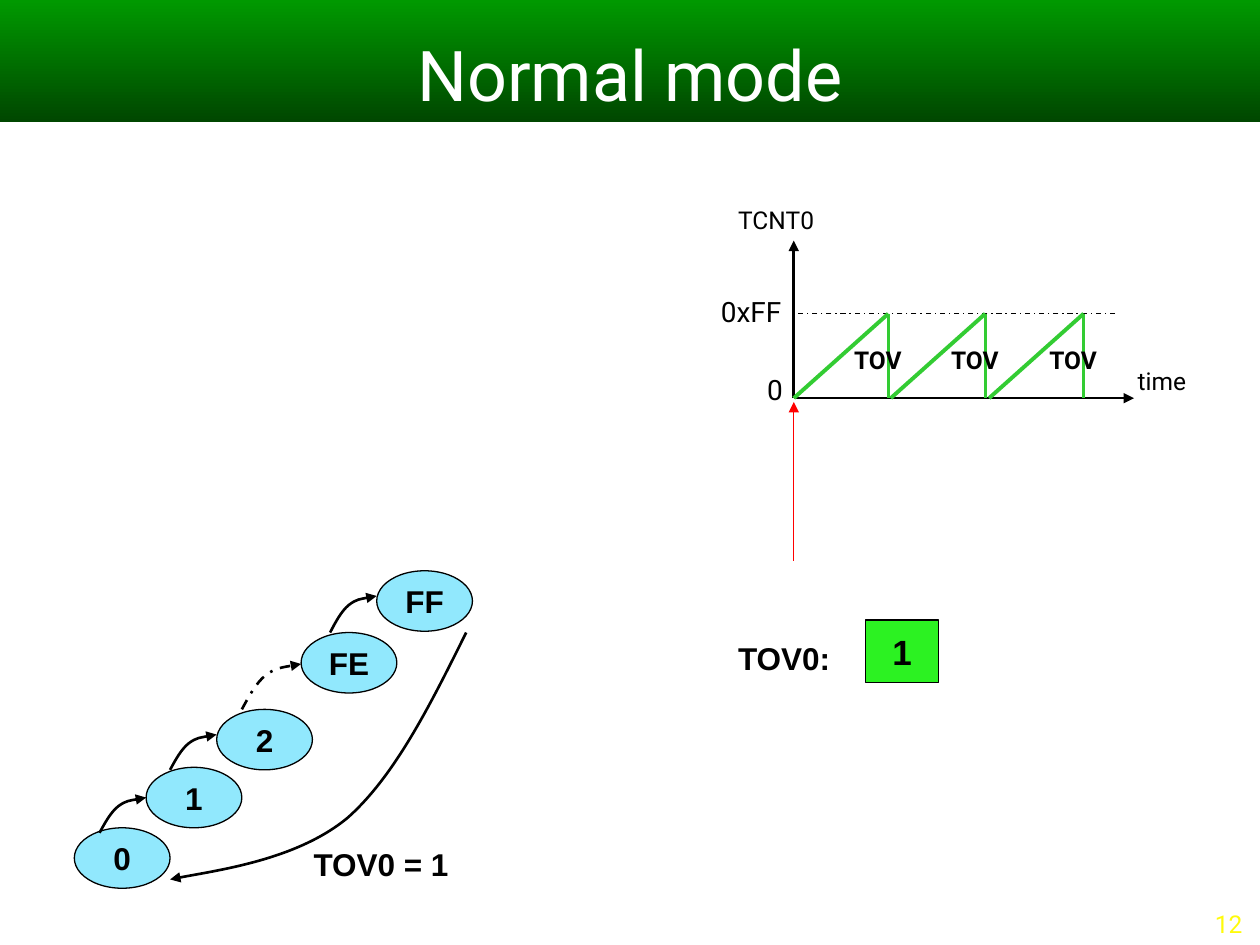
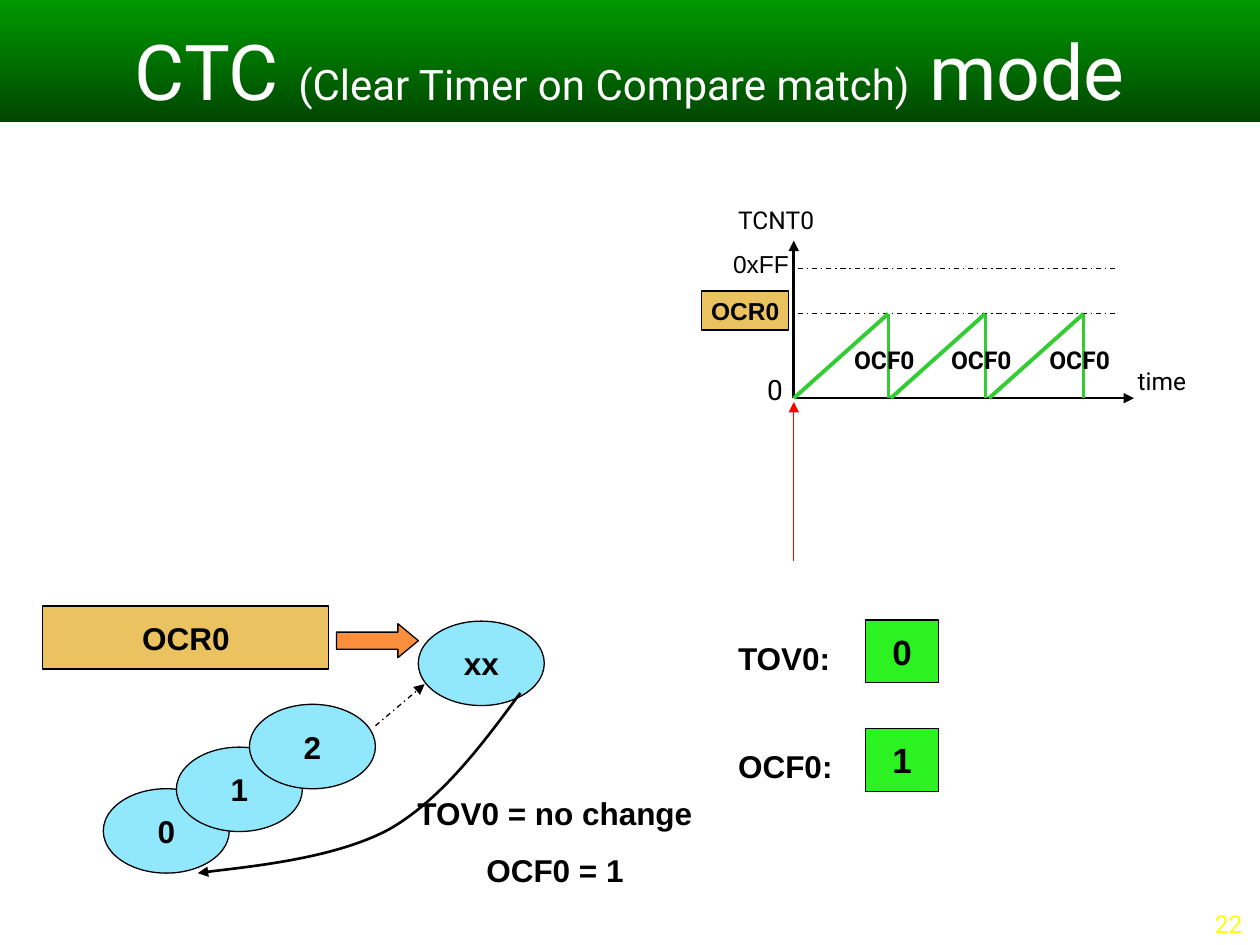
import dataclasses

import lxml.etree
import pptx
import pptx.dml.color
import pptx.enum.dml
import pptx.enum.shapes
import pptx.enum.text
import pptx.oxml.ns
import pptx.util

PX = 9144
SHAPE = pptx.enum.shapes.MSO_SHAPE
ALIGN = pptx.enum.text.PP_ALIGN
ANCHOR = pptx.enum.text.MSO_ANCHOR
AUTO_SIZE = pptx.enum.text.MSO_AUTO_SIZE
BEND = [(0.12, 0.29), (0.24, 0.58), (0.4, 0.75), (0.57, 0.92), (0.88, 0.97), (1, 1)]


@dataclasses.dataclass(frozen=True)
class Type:
    size: int
    name: str = "Arial"
    bold: bool = False
    color: str = "000000"


@dataclasses.dataclass(frozen=True)
class Theme:
    ink: str = "000000"
    band_top: str = "009900"
    band_bottom: str = "004700"
    ramp: str = "33CC33"
    pointer: str = "FF0000"
    flag: str = "2CF222"
    state: str = "91E8FD"
    register: str = "EAC360"
    arrow: str = "FC8F3E"
    thin: float = 0.75
    medium: float = 1.5
    thick: float = 2.25
    title: Type = Type(40, "Roboto", color="FFFFFF")
    title_large: Type = Type(44, "Roboto", color="FFFFFF")
    title_small: Type = Type(24, "Roboto", color="FFFFFF")
    number: Type = Type(14, "Roboto", color="FFFB0B")
    axis: Type = Type(14, "Roboto")
    level: Type = Type(16, "Roboto")
    event: Type = Type(14, "Roboto", True)
    top_level: Type = Type(14)
    small_register: Type = Type(14, bold=True)
    body: Type = Type(18, bold=True)
    bit: Type = Type(20, bold=True)


THEME = Theme()


def px(*lengths):
    return [round(length * PX) for length in lengths]


def rgb(color):
    return pptx.dml.color.RGBColor.from_string(color)


def set_format(target, **values):
    for name, value in values.items():
        setattr(target, name, value)


def write(box, lines, align=ALIGN.CENTER, space=0, **frame_format):
    frame = box.text_frame
    set_format(frame, **frame_format)
    for index, spans in enumerate(lines):
        para = frame.add_paragraph() if index else frame.paragraphs[0]
        para.alignment = align
        if index:
            para.space_before = pptx.util.Pt(space)
        for text, kind in spans:
            span = para.add_run()
            span.text = text
            set_format(span.font, name=kind.name, bold=kind.bold,
                       size=pptx.util.Pt(kind.size))
            span.font.color.rgb = rgb(kind.color)


def stroke(item, color=THEME.ink, width=THEME.thin, dashed=False, arrow=False):
    item.line.color.rgb = rgb(color)
    item.line.width = pptx.util.Pt(width)
    if dashed:
        item.line.dash_style = pptx.enum.dml.MSO_LINE.DASH_DOT
    properties = item.element.spPr
    if arrow:
        outline = properties.find(pptx.oxml.ns.qn("a:ln"))
        lxml.etree.SubElement(outline, pptx.oxml.ns.qn("a:tailEnd"), type="triangle")
    lxml.etree.SubElement(properties, pptx.oxml.ns.qn("a:effectLst"))


def add_line(page, start, end, **line_format):
    kind = pptx.enum.shapes.MSO_CONNECTOR.STRAIGHT
    stroke(page.shapes.add_connector(kind, *px(*start, *end)), **line_format)


def add_arc(page, start, end, dashed=False):
    left, top = start
    width, height = end[0] - left, end[1] - top
    builder = page.shapes.build_freeform(*px(left, top))
    builder.add_line_segments(
        [px(left + width * x, top + height * y) for x, y in BEND], close=False)
    arc = builder.convert_to_shape()
    arc.fill.background()
    stroke(arc, width=THEME.medium, dashed=dashed, arrow=True)
    track = arc.element.find(".//" + pptx.oxml.ns.qn("a:path"))
    corners = track.findall(pptx.oxml.ns.qn("a:lnTo"))
    for first in (0, 3):
        curve = lxml.etree.SubElement(track, pptx.oxml.ns.qn("a:cubicBezTo"))
        for corner in corners[first:first + 3]:
            curve.append(corner[0])
            track.remove(corner)


def add_shape(page, kind, place, fill, text="", text_type=THEME.body):
    shape = page.shapes.add_shape(kind, *px(*place))
    shape.fill.solid()
    shape.fill.fore_color.rgb = rgb(fill)
    stroke(shape)
    if text:
        write(shape, [[(text, text_type)]], word_wrap=False,
              vertical_anchor=ANCHOR.MIDDLE)
    return shape


def add_label(page, place, lines, kind, align=ALIGN.LEFT, space=0):
    box = page.shapes.add_textbox(*px(*place))
    write(box, [[(text, kind)] for text in lines], align, space,
          word_wrap=True, auto_size=AUTO_SIZE.SHAPE_TO_FIT_TEXT)


def add_page(deck, title, number):
    page = deck.slides.add_slide(deck.slide_layouts[6])
    band = page.shapes.add_shape(SHAPE.RECTANGLE, *px(0, 0, 1000, 97))
    band.shadow.inherit = False
    band.line.fill.background()
    band.fill.gradient()
    band.fill.gradient_angle = 270
    for position, color in enumerate((THEME.band_top, THEME.band_bottom)):
        stop = band.fill.gradient_stops[position]
        stop.position = position
        stop.color.rgb = rgb(color)
    write(band, [title], word_wrap=True, vertical_anchor=ANCHOR.BOTTOM)
    box = page.shapes.add_textbox(*px(783, 722, 213, 28))
    write(box, [[(number, THEME.number)]], ALIGN.RIGHT,
          word_wrap=True, vertical_anchor=ANCHOR.BOTTOM)
    return page


def add_timing_chart(page, event):
    left, base, peak = 630, 316, 249
    add_line(page, (left, base), (900, base), width=THEME.medium, arrow=True)
    add_line(page, (left, base), (left, 191), width=THEME.medium, arrow=True)
    add_level(page, peak)
    add_label(page, (576, 158, 92, 34), ["TCNT0"], THEME.axis)
    add_label(page, (589, 291, 42, 37), ["0"], THEME.level, ALIGN.RIGHT)
    add_label(page, (893, 286, 92, 34), ["time"], THEME.axis)
    for cycle in range(3):
        start = left + 155 * cycle // 2
        end = start + 75
        add_line(page, (start, base), (end, peak), color=THEME.ramp, width=THEME.thick)
        add_line(page, (end, base), (end, peak), color=THEME.ramp, width=THEME.medium)
        add_label(page, (start + 38, 269, 117, 34), [event], THEME.event)
    add_line(page, (left, 445), (left, 319), color=THEME.pointer, arrow=True)


def add_level(page, y):
    add_line(page, (885, y), (630, y), dashed=True)


def add_flag(page, top, name, bit):
    add_label(page, (576, top + 10, 110, 40), [name], THEME.body)
    add_shape(page, SHAPE.RECTANGLE, (687, top, 58, 50), THEME.flag, bit, THEME.bit)


def add_states(page, states, size):
    for text, left, top in states:
        add_shape(page, SHAPE.OVAL, (left, top, *size), THEME.state, text)


def build_normal_mode(deck):
    page = add_page(deck, [("Normal mode", THEME.title)], "12")
    add_timing_chart(page, "TOV")
    add_label(page, (533, 229, 97, 37), ["0xFF"], THEME.level, ALIGN.RIGHT)
    add_flag(page, 492, "TOV0:", "1")
    add_states(page, [("FE", 239, 502), ("FF", 299, 453), ("2", 172, 563),
                      ("1", 116, 609), ("0", 59, 657)], (76, 48))
    add_arc(page, (370, 502), (135, 698))
    for start, end in [((79, 661), (116, 633)), ((135, 611), (172, 583)),
                       ((262, 502), (299, 473))]:
        add_arc(page, start, end)
    add_arc(page, (192, 563), (239, 527), dashed=True)
    add_label(page, (239, 666, 134, 40), ["TOV0 = 1"], THEME.body)


def build_ctc_mode(deck):
    title = [("CTC ", THEME.title_large),
             ("(Clear Timer on Compare match)", THEME.title_small),
             (" mode", THEME.title_large)]
    page = add_page(deck, title, "22")
    add_timing_chart(page, "OCF0")
    add_level(page, 213)
    add_label(page, (558, 193, 78, 34), ["0xFF"], THEME.top_level, ALIGN.RIGHT)
    add_shape(page, SHAPE.RECTANGLE, (557, 231, 69, 31), THEME.register,
              "OCR0", THEME.small_register)
    add_flag(page, 492, "TOV0:", "0")
    add_flag(page, 578, "OCF0:", "1")
    add_states(page, [("0", 82, 626), ("1", 140, 593), ("2", 198, 559),
                      ("xx", 332, 493)], (100, 67))
    add_arc(page, (413, 550), (157, 693))
    add_line(page, (298, 576), (337, 543), dashed=True, arrow=True)
    add_label(page, (296, 625, 289, 86), ["TOV0 = no change", "OCF0 = 1"],
              THEME.body, ALIGN.CENTER, 11.2)
    add_shape(page, SHAPE.RECTANGLE, (34, 481, 227, 50), THEME.register, "OCR0")
    arrow = add_shape(page, SHAPE.RIGHT_ARROW, (267, 495, 65, 27), THEME.arrow)
    arrow.adjustments[1] = 0.6


def main():
    deck = pptx.Presentation()
    deck.slide_width, deck.slide_height = px(1000, 750)
    build_normal_mode(deck)
    build_ctc_mode(deck)
    deck.save("out.pptx")


if __name__ == "__main__":
    main()
